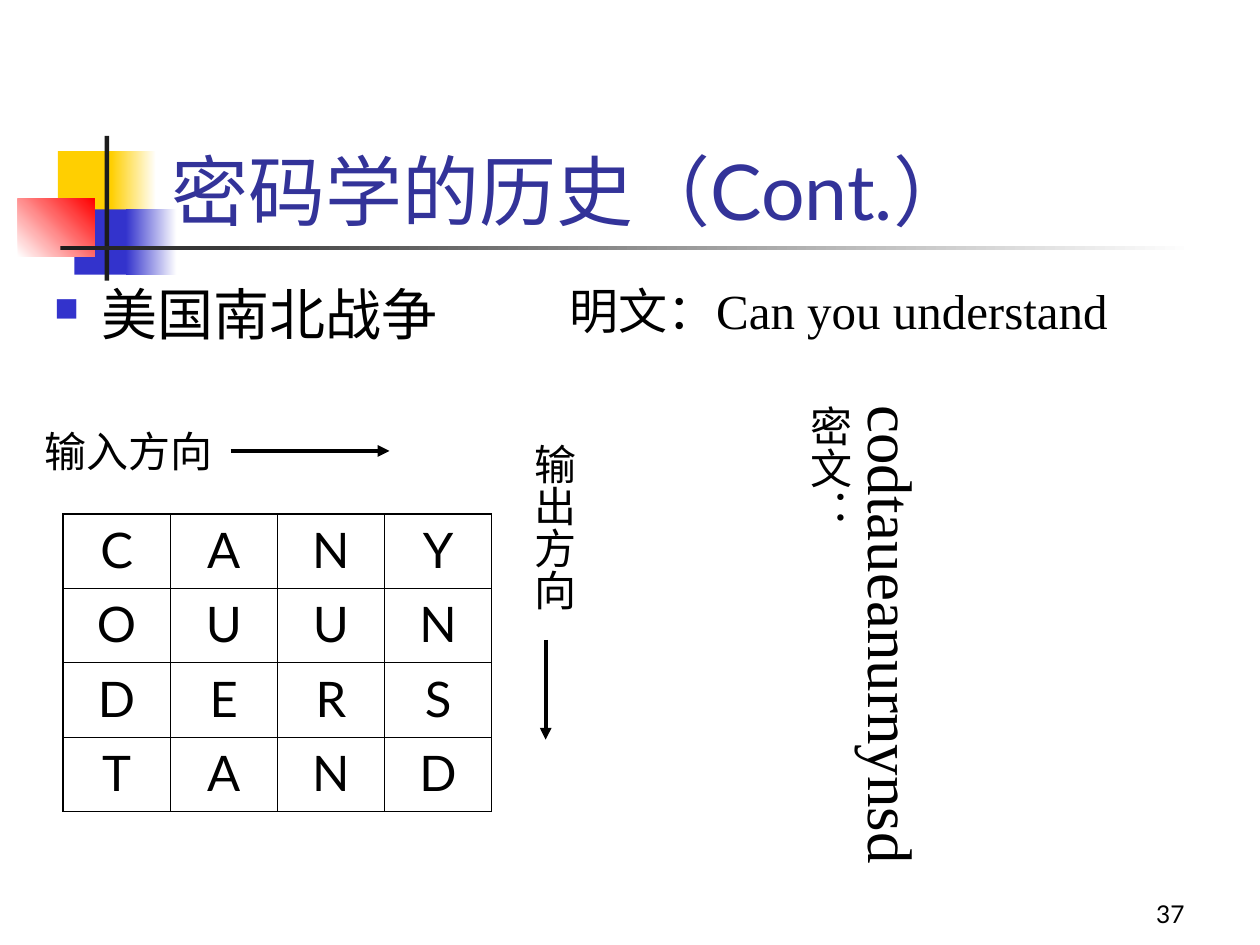
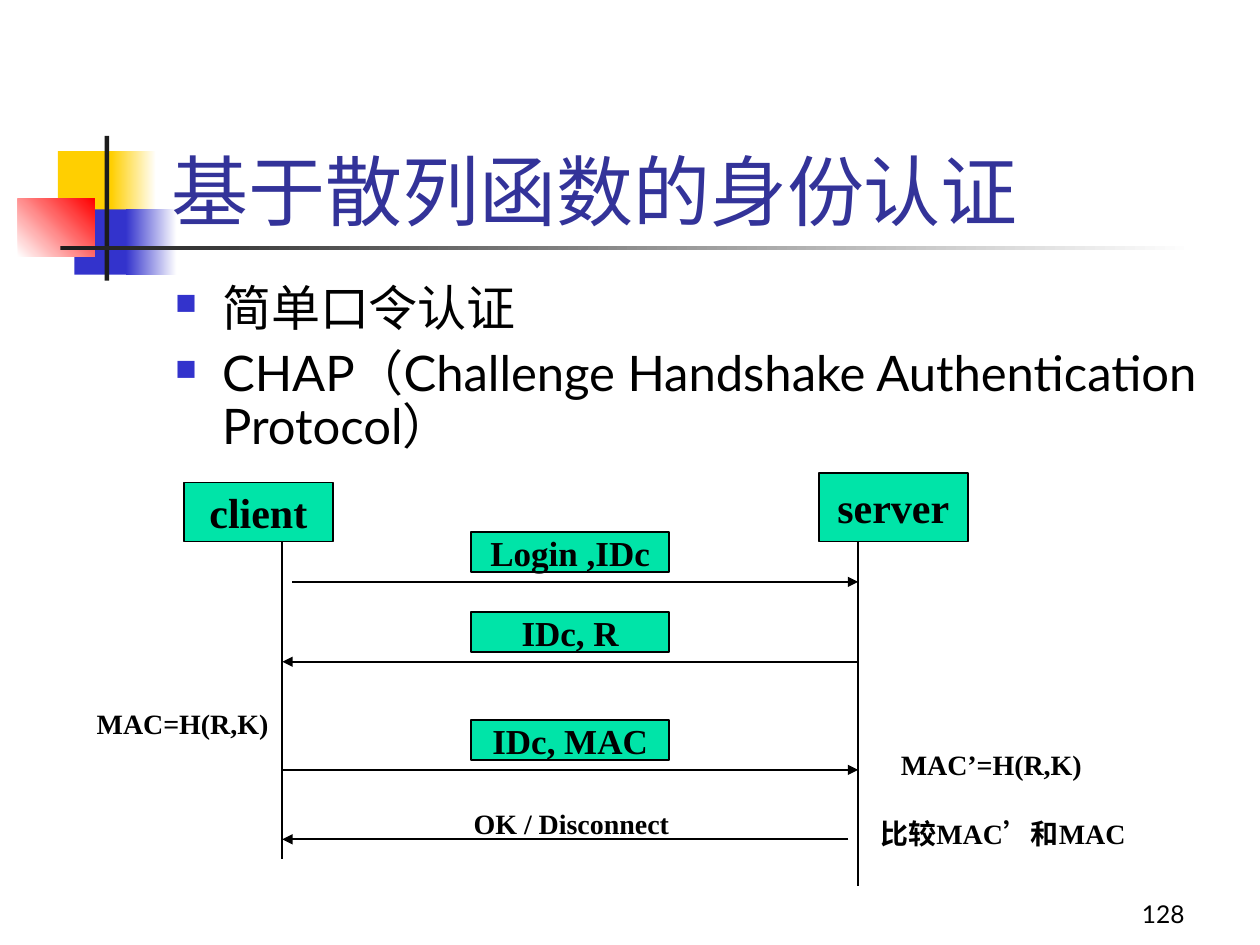
import pptx
import pptx.util
import pptx.dml.color
import pptx.enum.shapes
import pptx.enum.text
import lxml.etree

Cm, Pt = pptx.util.Cm, pptx.util.Pt
RGB = pptx.dml.color.RGBColor.from_string
ALIGN = pptx.enum.text.PP_ALIGN
ANCHOR = pptx.enum.text.MSO_ANCHOR
RECT = pptx.enum.shapes.MSO_SHAPE.RECTANGLE
LINE = pptx.enum.shapes.MSO_CONNECTOR.STRAIGHT
NS = "{http://schemas.openxmlformats.org/drawingml/2006/main}"
SANS, SERIF = "Lato", "Times New Roman"
HUES = {"gold": "FFCF01", "blue": "3333CC", "red": "FF0000", "dark": "1C1C1C",
        "white": "FFFFFF", "black": "000000", "title": "333399", "mint": "00E4A8"}


def write(frame, words, size, face, hue="black", bold=False, align=ALIGN.LEFT):
    frame.text = words
    for para in frame.paragraphs:
        para.alignment = align
        for run in para.runs:
            run.font.size, run.font.name, run.font.bold = Pt(size), face, bold
            run.font.color.rgb = RGB(HUES[hue])


def wire(slide, x1, y1, x2, y2, width=1, head=True):
    link = slide.shapes.add_connector(LINE, Cm(x1), Cm(y1), Cm(x2), Cm(y2))
    link.line.color.rgb = RGB(HUES["black"])
    link.line.width = Pt(width)
    if head:
        lxml.etree.SubElement(link.line._get_or_add_ln(), NS + "tailEnd", type="triangle")
    lxml.etree.SubElement(link.element.spPr, NS + "effectLst")


deck = pptx.Presentation()
deck.slide_width, deck.slide_height = Cm(25.4), Cm(19.05)

# Shared look: left, top, width, height, first colour, last colour, angle
marks = [
    (1.17, 3.05, 1.22, 1.32, "gold", None, 0),
    (2.24, 3.05, 0.91, 1.32, "gold", "white", 0),
    (1.5, 4.22, 1.17, 1.32, "blue", None, 0),
    (2.54, 4.22, 1.02, 1.32, "blue", "white", 0),
    (0.36, 4.01, 1.55, 1.17, "white", "red", 45),
    (2.11, 2.74, 0.09, 2.92, "dark", None, 0),
    (1.22, 4.95, 22.86, 0.09, "dark", "white", 0),
]

# Per slide: title, number, body place, body size, line spacing, body words
pages = [
    ("密码学的历史（Cont.）", "37", (0.84, 5.51, 10.36, 2.31), 32, 1, "美国南北战争"),
    ("基于散列函数的身份认证", "128", (3.28, 5.61, 21.59, 3.86), 28, 0.9,
     "简单口令认证\nCHAP（Challenge Handshake Authentication Protocol）"),
]

for title, number, place, size, space, words in pages:
    slide = deck.slides.add_slide(deck.slide_layouts[6])

    # Corner blocks and rule
    for *spot, first, last, angle in marks:
        mark = slide.shapes.add_shape(RECT, *map(Cm, spot))
        mark.shadow.inherit = False
        mark.line.fill.background()
        if last:
            mark.fill.gradient()
            mark.fill.gradient_angle = angle
            for stop, hue in zip(mark.fill.gradient_stops, (first, last)):
                stop.color.rgb = RGB(HUES[hue])
        else:
            mark.fill.solid()
            mark.fill.fore_color.rgb = RGB(HUES[first])

    # Slide number and title
    for spot, text, points, hue, align in [
            ((18.85, 17.58, 5.28, 1.27), number, 14, "black", ALIGN.RIGHT),
            ((3.2, 1.7, 21.64, 3.18), title, 44, "title", ALIGN.LEFT)]:
        frame = slide.shapes.add_textbox(*map(Cm, spot)).text_frame
        frame.word_wrap = True
        frame.vertical_anchor = ANCHOR.BOTTOM
        write(frame, text, points, SANS, hue, align=align)

    # Bullets
    frame = slide.shapes.add_textbox(*map(Cm, place)).text_frame
    frame.word_wrap = True
    write(frame, words, size, SANS)
    for row, para in enumerate(frame.paragraphs):
        props = para._p.get_or_add_pPr()
        props.set("marL", str(Cm(0.95)))
        props.set("indent", str(-Cm(0.95)))
        tint = lxml.etree.SubElement(props, NS + "buClr")
        lxml.etree.SubElement(tint, NS + "srgbClr", val=HUES["blue"])
        lxml.etree.SubElement(props, NS + "buSzPct", val="60000")
        lxml.etree.SubElement(props, NS + "buChar", char="■")
        para.line_spacing = space
        if row:
            para.space_before = Pt(7)

first, second = deck.slides

# Slide 1: letter grid
grid = ["CANY", "OUUN", "DERS", "TAND"]
last = len(grid) - 1
table = first.shapes.add_table(4, 4, Cm(1.27), Cm(10.36), Cm(8.64), Cm(6)).table
table.first_row = table.horz_banding = False
for r, line in enumerate(grid):
    table.rows[r].height = Cm(1.5)
    table.columns[r].width = Cm(2.16)
    for c, letter in enumerate(line):
        cell = table.cell(r, c)
        write(cell.text_frame, letter, 28, SANS, align=ALIGN.CENTER)
        props = cell._tc.get_or_add_tcPr()
        for side, outer in [("L", c == 0), ("R", c == last), ("T", r == 0), ("B", r == last)]:
            edge = lxml.etree.SubElement(props, NS + "ln" + side,
                                         w=str(Pt(1.08 if outer else 0.45)))
            fill = lxml.etree.SubElement(edge, NS + "solidFill")
            lxml.etree.SubElement(fill, NS + "srgbClr", val=HUES["black"])
        cell.fill.background()

# Slide 1: level labels
for spot, words, size in [((0.64, 8.46, 4.8, 1.27), "输入方向", 24),
                          ((11.23, 5.54, 12.78, 1.45), "明文：Can you understand", 28)]:
    frame = first.shapes.add_textbox(*map(Cm, spot)).text_frame
    frame.word_wrap = True
    write(frame, words, size, SERIF)

# Slide 1: upright labels, with one size per column
for spot, words, sizes in [((10.29, 8.69, 1.52, 4.01), "输出方向", [24]),
                           ((14.53, 7.92, 4.37, 10.29), "codtaueanurnynsd\n密文：", [36, 24])]:
    box = first.shapes.add_textbox(*map(Cm, spot))
    frame = box.text_frame
    frame.word_wrap = True
    frame.margin_left = frame.margin_right = Cm(0.13)
    frame.margin_top = frame.margin_bottom = Cm(0.25)
    box.element.txBody.bodyPr.set("vert", "eaVert")
    write(frame, words, sizes[0], SERIF)
    for para, size in zip(frame.paragraphs, sizes):
        para.runs[0].font.size = Pt(size)

# Slide 1: direction arrows
wire(first, 11, 12.9, 11, 14.91, 2.25)
wire(first, 4.65, 9.09, 7.85, 9.09, 2.25)

# Slide 2: lifelines and messages
left, right = 5.69, 17.3
wire(second, left, 10.92, left, 17.32, head=False)
wire(second, right, 10.92, right, 17.86, head=False)
boxes = [((3.71, 9.73, 3, 1.19), "client", 24), ((16.51, 9.53, 3, 1.39), "server", 24)]
for start, end, y, words in [(left + 0.2, right, 11.73, "Login ,IDc"),
                             (right, left, 13.34, "IDc, R"),
                             (left, right, 15.52, "IDc, MAC"),
                             (right - 0.2, left, 16.92, None)]:
    wire(second, start, y, end, y)
    if words:
        boxes.append(((9.5, y - 1, 3.99, 0.81), words, 20))

# Slide 2: green boxes
for spot, words, size in boxes:
    box = second.shapes.add_shape(RECT, *map(Cm, spot))
    box.shadow.inherit = False
    box.fill.solid()
    box.fill.fore_color.rgb = RGB(HUES["mint"])
    box.line.color.rgb = RGB(HUES["black"])
    box.line.width = Pt(1)
    box.text_frame.word_wrap = False
    box.text_frame.vertical_anchor = ANCHOR.MIDDLE
    write(box.text_frame, words, size, SERIF, bold=True, align=ALIGN.CENTER)

# Slide 2: side notes
for x, y, width, words in [(1.7, 14.12, 4.39, "MAC=H(R,K)"),
                           (17.91, 14.94, 4.39, "MAC’=H(R,K)"),
                           (17.5, 16.33, 5.79, "比较MAC’和MAC"),
                           (9.3, 16.13, 5.59, "OK / Disconnect")]:
    frame = second.shapes.add_textbox(Cm(x), Cm(y), Cm(width), Cm(0.94)).text_frame
    frame.word_wrap = True
    write(frame, words, 16, SERIF, bold=True)

deck.save("out.pptx")
